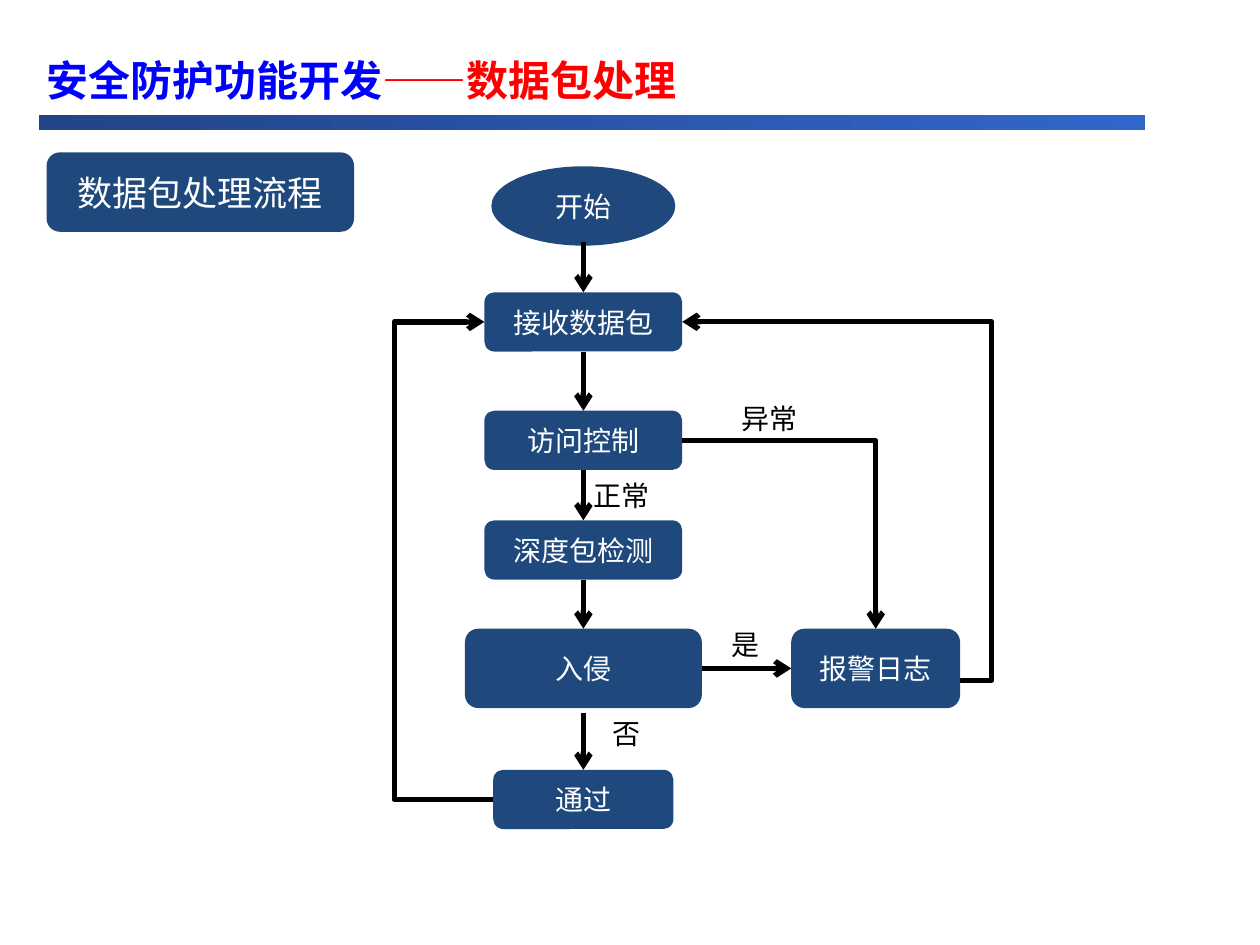
from lxml.etree import SubElement
from pptx import Presentation
from pptx.dml.color import RGBColor
from pptx.enum.shapes import MSO_CONNECTOR, MSO_SHAPE
from pptx.enum.text import MSO_ANCHOR, PP_ALIGN
from pptx.oxml.ns import qn
from pptx.util import Inches, Pt

NAVY = RGBColor(0x1F, 0x49, 0x7D)
BAR_DARK = RGBColor(0x22, 0x44, 0x88)
BAR_LIGHT = RGBColor(0x33, 0x66, 0xCC)
BLUE = RGBColor(0, 0, 255)
RED = RGBColor(255, 0, 0)
BLACK = RGBColor(0, 0, 0)
WHITE = RGBColor(255, 255, 255)
TOP, LEFT, BOTTOM, RIGHT = range(4)


class FlowSlide:
    body_font = "Arial"
    label_font = "Times New Roman"
    title_font = "Noto Sans CJK SC"
    text_size = 16
    line_width = 3

    def __init__(self, deck):
        self.page = deck.slides.add_slide(deck.slide_layouts[5])
        self.shapes = self.page.shapes

    def format_font(self, paragraph, name, size, color):
        paragraph.font.name = name
        paragraph.font.size = Pt(size)
        paragraph.font.color.rgb = color

    def title(self, left, top, width, height, spans):
        box = self.shapes.title
        box.left, box.top = Inches(left), Inches(top)
        box.width, box.height = Inches(width), Inches(height)
        frame = box.text_frame
        frame.word_wrap = True
        frame.vertical_anchor = MSO_ANCHOR.TOP
        para = frame.paragraphs[0]
        para.alignment = PP_ALIGN.LEFT
        para.line_spacing = 1.1
        para.font.name = self.title_font
        para.font.size = Pt(24)
        para.font.bold = True
        for text, color in spans:
            span = para.add_run()
            span.text = text
            span.font.color.rgb = color

    def bar(self, left, top, width, height):
        box = self.shapes.add_shape(MSO_SHAPE.RECTANGLE, Inches(left), Inches(top),
                                    Inches(width), Inches(height))
        box.shadow.inherit = False
        box.line.fill.background()
        box.fill.gradient()
        box.fill.gradient_angle = 0
        for stop, color in zip(box.fill.gradient_stops, (BAR_DARK, BAR_LIGHT)):
            stop.color.rgb = color

    def node(self, text, center, top, width, height,
             kind=MSO_SHAPE.ROUNDED_RECTANGLE, size=text_size):
        box = self.shapes.add_shape(kind, Inches(center - width / 2), Inches(top),
                                    Inches(width), Inches(height))
        box.shadow.inherit = False
        box.fill.solid()
        box.fill.fore_color.rgb = NAVY
        box.line.fill.background()
        frame = box.text_frame
        frame.text = text
        frame.word_wrap = True
        frame.vertical_anchor = MSO_ANCHOR.MIDDLE
        para = frame.paragraphs[0]
        para.alignment = PP_ALIGN.CENTER
        self.format_font(para, self.body_font, size, WHITE)
        return box

    def label(self, text, left, top, width):
        box = self.shapes.add_textbox(Inches(left), Inches(top), Inches(width), Inches(0.37))
        frame = box.text_frame
        frame.text = text
        frame.word_wrap = True
        self.format_font(frame.paragraphs[0], self.label_font, self.text_size, BLACK)

    def arrow(self, begin, end, kind=MSO_CONNECTOR.STRAIGHT):
        target, target_side = end
        start = begin if isinstance(begin[0], float) else (0, 0)
        line = self.shapes.add_connector(kind, Inches(start[0]), Inches(start[1]), 0, 0)
        if start is not begin:
            line.begin_connect(*begin)
        line.end_connect(target, target_side)
        line.line.color.rgb = BLACK
        line.line.width = Pt(self.line_width)
        SubElement(line.line._get_or_add_ln(), qn("a:tailEnd"), type="arrow")
        SubElement(line.element.spPr, qn("a:effectLst"))
        return line

    def elbow(self, begin, end, via=None):
        line = self.arrow(begin, end, MSO_CONNECTOR.ELBOW)
        geometry = line.element.spPr.find(qn("a:prstGeom"))
        if via is None:
            geometry.set("prst", "bentConnector2")
            return
        share = (Inches(via) - line.begin_x) / (line.end_x - line.begin_x)
        guides = geometry.find(qn("a:avLst"))
        SubElement(guides, qn("a:gd"), name="adj1", fmla=f"val {round(share * 100000)}")


def main():
    deck = Presentation()
    deck.slide_width, deck.slide_height = Inches(10), Inches(7.5)
    slide = FlowSlide(deck)
    slide.bar(0.31, 0.91, 8.78, 0.12)
    slide.title(0.27, 0.34, 6.73, 0.54, [("安全防护功能开发", BLUE), ("——数据包处理", RED)])
    slide.node("数据包处理流程", 1.59, 1.21, 2.44, 0.63, size=20)

    axis = 4.63
    slide.node("开始", axis, 1.32, 1.46, 0.63, MSO_SHAPE.OVAL)
    receive = slide.node("接收数据包", axis, 2.32, 1.57, 0.47)
    access = slide.node("访问控制", axis, 3.26, 1.57, 0.47)
    inspect = slide.node("深度包检测", axis, 4.13, 1.57, 0.47)
    intrusion = slide.node("入侵", axis, 4.99, 1.88, 0.63)
    passed = slide.node("通过", axis, 6.11, 1.43, 0.47)
    alarm = slide.node("报警日志", 6.95, 4.99, 1.34, 0.63)

    slide.arrow((axis, 1.92), (receive, TOP))
    for upper, lower in ((receive, access), (access, inspect), (inspect, intrusion)):
        slide.arrow((upper, BOTTOM), (lower, TOP))
    slide.arrow((axis, 5.66), (passed, TOP))
    slide.arrow((intrusion, RIGHT), (alarm, LEFT))
    slide.elbow((passed, LEFT), (receive, LEFT), via=3.13)
    slide.elbow((access, RIGHT), (alarm, TOP))
    slide.elbow((7.62, 5.4), (receive, RIGHT), via=7.87)

    for text, left, top, width in (
        ("是", 5.71, 4.93, 0.39),
        ("否", 4.76, 5.64, 0.47),
        ("正常", 4.61, 3.75, 0.8),
        ("异常", 5.79, 3.14, 0.94),
    ):
        slide.label(text, left, top, width)

    deck.save("out.pptx")


if __name__ == "__main__":
    main()
